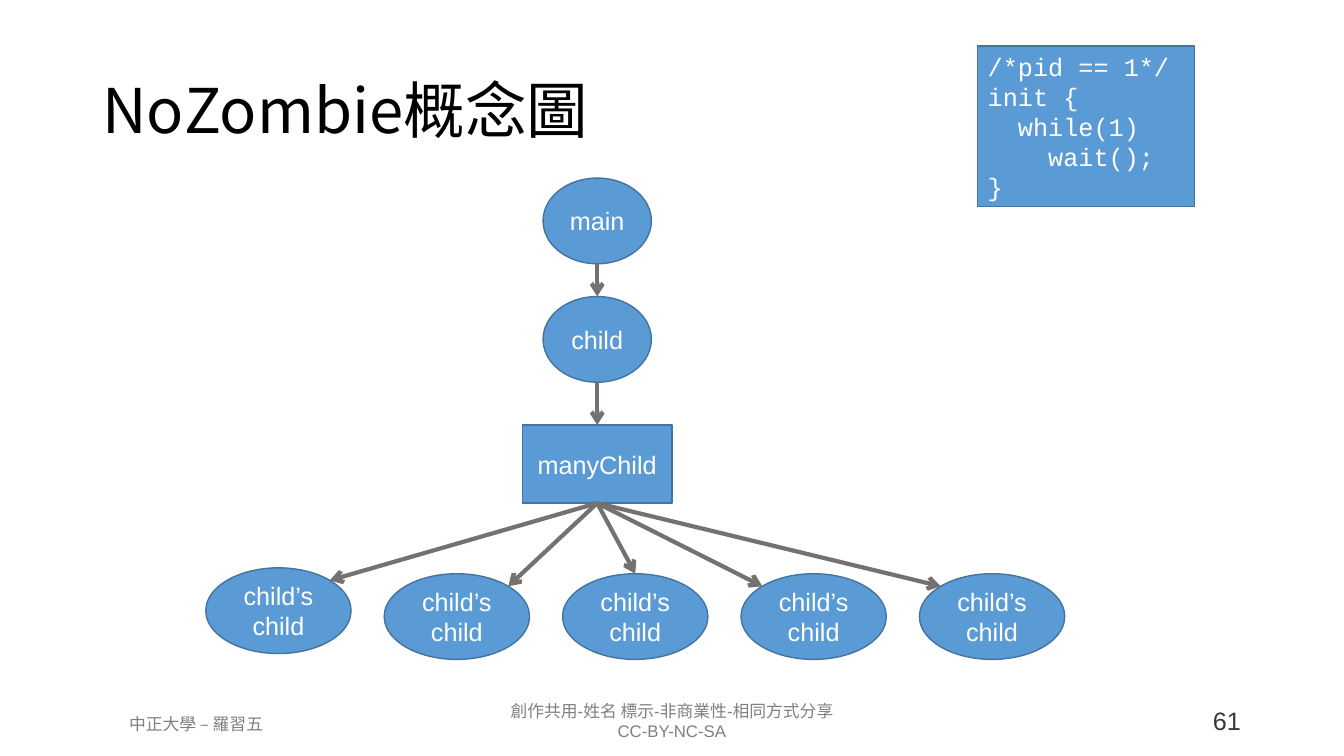
from dataclasses import dataclass
from math import sqrt

from lxml.etree import SubElement
from pptx import Presentation
from pptx.dml.color import RGBColor
from pptx.enum.shapes import MSO_CONNECTOR, MSO_SHAPE
from pptx.enum.text import MSO_ANCHOR, PP_ALIGN
from pptx.oxml.ns import qn
from pptx.util import Emu, Inches, Pt


@dataclass(frozen=True)
class Theme:
    fill: RGBColor = RGBColor(0x5B, 0x9B, 0xD5)
    outline: RGBColor = RGBColor(0x43, 0x73, 0x9E)
    arrow: RGBColor = RGBColor(0x76, 0x71, 0x71)
    light: RGBColor = RGBColor(0xFF, 0xFF, 0xFF)
    dark: RGBColor = RGBColor(0, 0, 0)
    footer: RGBColor = RGBColor(0x80, 0x80, 0x80)
    number: RGBColor = RGBColor(0x3B, 0x38, 0x38)
    title_size: int = 44
    body_size: int = 18
    footer_size: int = 12
    body_font: str = "Arial"
    code_font: str = "Courier New"
    title_font: str = "Noto Sans CJK SC"


THEME = Theme()
COLUMNS, ROWS = 160, 90
CELL = Inches(1) / 12

TRUNK_X = 71.1
NODE_WIDTH, NODE_HEIGHT = 12.9, 10.2
LEAF_WIDTH, LEAF_PITCH, LEAF_LEFT = 17.3, 21.24, 24.5
LEAF_TOPS = (67.6, 68.3, 68.3, 68.3, 68.3)
LEAF_SIDES = (1, 1, 0, -1, -1)


def cells(*lengths):
    """Turn grid cells into slide lengths."""
    return [Emu(round(length * CELL)) for length in lengths]


def write(shape, text, size, color, font, align=PP_ALIGN.CENTER,
          anchor=MSO_ANCHOR.MIDDLE, spacing=None):
    frame = shape.text_frame
    frame.word_wrap = True
    frame.vertical_anchor = anchor
    frame.text = text
    for paragraph in frame.paragraphs:
        paragraph.alignment = align
        paragraph.line_spacing = spacing
        for run in paragraph.runs:
            run.font.size = Pt(size)
            run.font.color.rgb = color
            run.font.name = font
            east_asian = SubElement(run.font._element, qn("a:ea"))
            east_asian.set("typeface", THEME.title_font)


def add_label(slide, box, text, size, color, font=THEME.body_font, **layout):
    write(slide.shapes.add_textbox(*cells(*box)), text, size, color, font, **layout)


def add_node(slide, kind, box, text, font=THEME.body_font, align=PP_ALIGN.CENTER):
    shape = slide.shapes.add_shape(kind, *cells(*box))
    shape.shadow.inherit = False
    shape.fill.solid()
    shape.fill.fore_color.rgb = THEME.fill
    shape.line.color.rgb = THEME.outline
    shape.line.width = Pt(1)
    write(shape, text, THEME.body_size, THEME.light, font, align)
    return shape


def add_arrow(slide, start, end):
    arrow = slide.shapes.add_connector(MSO_CONNECTOR.STRAIGHT, *cells(*start, *end))
    arrow.line.color.rgb = THEME.arrow
    arrow.line.width = Pt(3)
    SubElement(arrow.line._get_or_add_ln(), qn("a:tailEnd")).set("type", "arrow")
    SubElement(arrow._element.spPr, qn("a:effectLst"))
    return arrow


def add_trunk(slide):
    """Draw main, child and manyChild; return the manyChild box and its bottom row."""
    left = TRUNK_X - NODE_WIDTH / 2
    main_top, child_top, many_top, many_height = 21.2, 35.3, 50.6, 9.3
    add_node(slide, MSO_SHAPE.OVAL, (left, main_top, NODE_WIDTH, NODE_HEIGHT), "main")
    child = add_node(slide, MSO_SHAPE.OVAL,
                     (left, child_top, NODE_WIDTH, NODE_HEIGHT), "child")
    many = add_node(slide, MSO_SHAPE.RECTANGLE,
                    (TRUNK_X - 8.9, many_top, 17.8, many_height), "manyChild")
    for top, target_top, target in ((main_top, child_top, child),
                                    (child_top, many_top, many)):
        arrow = add_arrow(slide, (TRUNK_X, top + NODE_HEIGHT), (TRUNK_X, target_top))
        arrow.end_connect(target, 0)
    return many, many_top + many_height


def add_leaves(slide, parent, parent_bottom):
    """Draw the row of leaves; a side of 0 is met at the top, 1 or -1 on a diagonal."""
    for index, (top, side) in enumerate(zip(LEAF_TOPS, LEAF_SIDES)):
        left = LEAF_LEFT + index * LEAF_PITCH
        leaf = add_node(slide, MSO_SHAPE.OVAL, (left, top, LEAF_WIDTH, NODE_HEIGHT),
                        "child’s\nchild")
        end_x = left + LEAF_WIDTH / 2 * (1 + side / sqrt(2))
        end_y = top + NODE_HEIGHT / 2 * (1 - 1 / sqrt(2)) * abs(side)
        arrow = add_arrow(slide, (TRUNK_X, parent_bottom), (end_x, end_y))
        arrow.begin_connect(parent, 2)
        if side == 0:
            arrow.end_connect(leaf, 0)


def add_footer(slide):
    top = MSO_ANCHOR.TOP
    add_label(slide, (50.5, 82.8, 59, 6),
              "創作共用-姓名 標示-非商業性-相同方式分享\nCC-BY-NC-SA",
              THEME.footer_size, THEME.footer, anchor=top)
    add_label(slide, (8.3, 84.4, 30.1, 3.6), "中正大學 – 羅習五",
              THEME.footer_size, THEME.footer, anchor=top)
    add_label(slide, (119.5, 83.4, 29.4, 4.8), "61", THEME.body_size, THEME.number,
              align=PP_ALIGN.RIGHT, anchor=top)


def main():
    presentation = Presentation()
    presentation.slide_width, presentation.slide_height = cells(COLUMNS, ROWS)
    slide = presentation.slides.add_slide(presentation.slide_layouts[6])
    add_footer(slide)
    add_label(slide, (11, 4.8, 138, 17.4), "NoZombie概念圖", THEME.title_size,
              THEME.dark, THEME.title_font, align=PP_ALIGN.LEFT, spacing=0.9)
    many, many_bottom = add_trunk(slide)
    add_leaves(slide, many, many_bottom)
    add_node(slide, MSO_SHAPE.RECTANGLE, (116.4, 5.5, 25.8, 19.1),
             "/*pid == 1*/\vinit {\n  while(1)\n    wait();\n}",
             THEME.code_font, PP_ALIGN.LEFT)
    presentation.save("out.pptx")


if __name__ == "__main__":
    main()
